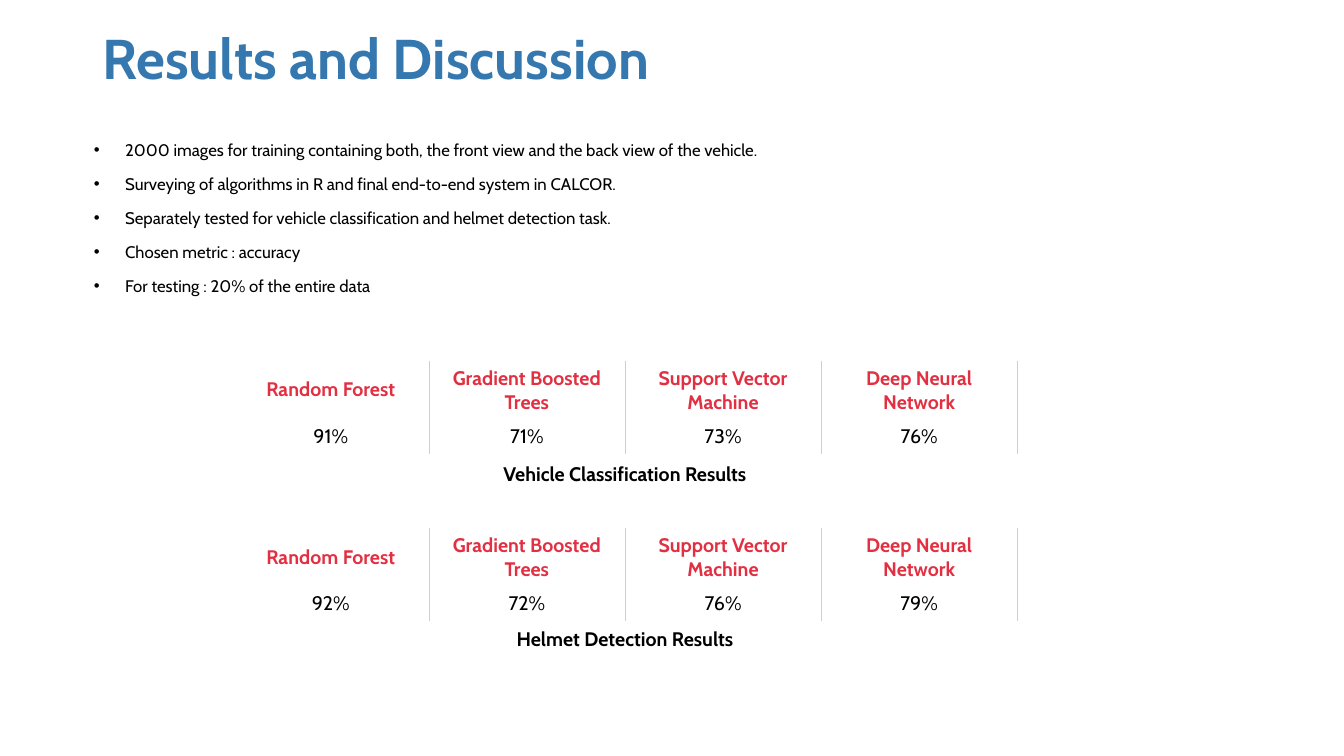
from lxml.etree import SubElement
from pptx import Presentation
from pptx.dml.color import RGBColor
from pptx.enum.text import MSO_ANCHOR as Anchor, PP_ALIGN as Align
from pptx.oxml import parse_xml
from pptx.oxml.ns import nsdecls, qn
from pptx.util import Inches, Pt

FONT = "Cabin"
BLUE = RGBColor(0x35, 0x78, 0xAF)
RED = RGBColor(0xE2, 0x30, 0x42)
BLACK = RGBColor(0, 0, 0)
RULE_GRAY = RGBColor(0xD0, 0xCE, 0xCE)
PLAIN_TABLE = "{2D5ABB26-0587-4C30-8999-92F81FD0307C}"

SLIDE_WIDTH, SLIDE_HEIGHT = Inches(13.33), Inches(7.5)
COLUMN, ROW = SLIDE_WIDTH / 16, SLIDE_HEIGHT / 9
HEADER_SHARE = 0.62

FINDINGS = [
    "2000 images for training containing both, the front view and the back view of the vehicle.",
    "Surveying of algorithms in R and final end-to-end system in CALCOR.",
    "Separately tested for vehicle classification and helmet detection task.",
    "Chosen metric : accuracy",
    "For testing : 20% of the entire data",
]
ALGORITHMS = ["Random Forest", "Gradient Boosted Trees", "Support Vector Machine", "Deep Neural Network"]
VEHICLE_ACCURACY = ["91%", "71%", "73%", "76%"]
HELMET_ACCURACY = ["92%", "72%", "76%", "79%"]


def grid_box(left, top, width, height):
    return int(left * COLUMN), int(top * ROW), int(width * COLUMN), int(height * ROW)


def style_text(paragraph, size, color, bold=False):
    for run in paragraph.runs:
        run.font.name = FONT
        run.font.size = Pt(size)
        run.font.color.rgb = color
        run.font.bold = bold


def add_heading(slide, box):
    heading = slide.shapes.title
    heading.left, heading.top, heading.width, heading.height = grid_box(*box)
    frame = heading.text_frame
    frame.text = "Results and Discussion"
    frame.vertical_anchor = Anchor.MIDDLE
    paragraph = frame.paragraphs[0]
    paragraph.alignment = Align.LEFT
    paragraph.line_spacing = 0.9
    style_text(paragraph, 40, BLUE, True)


def add_findings(slide, box):
    frame = slide.shapes.add_textbox(*grid_box(*box)).text_frame
    frame.word_wrap = True
    frame.text = "\n".join(FINDINGS)
    for paragraph in frame.paragraphs:
        paragraph.space_before = Pt(10)
        style_text(paragraph, 12, BLACK)
        properties = paragraph._p.get_or_add_pPr()
        properties.set("marL", str(Inches(0.31)))
        properties.set("indent", str(-Inches(0.31)))
        SubElement(properties, qn("a:buFont"), typeface="Arial")
        SubElement(properties, qn("a:buChar"), char="•")


def draw_rule(cell, side):
    rule = parse_xml(
        f'<a:{side} {nsdecls("a")} w="{Pt(0.5)}"><a:solidFill>'
        f'<a:srgbClr val="{RULE_GRAY}"/></a:solidFill></a:{side}>'
    )
    cell._tc.get_or_add_tcPr().insert(0, rule)


def add_results(slide, box, accuracy, caption, caption_offset):
    left, top, width, height = box
    table = slide.shapes.add_table(2, len(ALGORITHMS), *grid_box(*box)).table
    table.first_row = table.horz_banding = False
    table._tbl.tblPr.find(qn("a:tableStyleId")).text = PLAIN_TABLE
    table.rows[0].height = int(height * HEADER_SHARE * ROW)
    table.rows[1].height = int(height * (1 - HEADER_SHARE) * ROW)
    for row, (labels, color, bold) in enumerate([(ALGORITHMS, RED, True), (accuracy, BLACK, False)]):
        for column, label in enumerate(labels):
            cell = table.cell(row, column)
            cell.text = label
            cell.fill.background()
            cell.vertical_anchor = Anchor.MIDDLE
            paragraph = cell.text_frame.paragraphs[0]
            paragraph.alignment = Align.CENTER
            style_text(paragraph, 14, color, bold)
            draw_rule(cell, "lnR")
            if column:
                draw_rule(cell, "lnL")

    caption_width = 6
    caption_box = left + (width - caption_width) / 2, top + caption_offset, caption_width, 0.41
    frame = slide.shapes.add_textbox(*grid_box(*caption_box)).text_frame
    frame.word_wrap = True
    frame.text = caption
    paragraph = frame.paragraphs[0]
    paragraph.alignment = Align.CENTER
    paragraph.space_before = Pt(10)
    style_text(paragraph, 14, BLACK, True)


def main():
    deck = Presentation()
    deck.slide_width, deck.slide_height = SLIDE_WIDTH, SLIDE_HEIGHT
    slide = deck.slides.add_slide(deck.slide_layouts[5])
    add_heading(slide, (1.1, 0.31, 13.9, 0.85))
    add_findings(slide, (1, 1.6, 14, 2))
    add_results(slide, (2.77, 4.3, 9.34, 1.1), VEHICLE_ACCURACY, "Vehicle Classification Results", 1.14)
    add_results(slide, (2.77, 6.29, 9.34, 1.1), HELMET_ACCURACY, "Helmet Detection Results", 1.11)
    deck.save("out.pptx")


if __name__ == "__main__":
    main()
